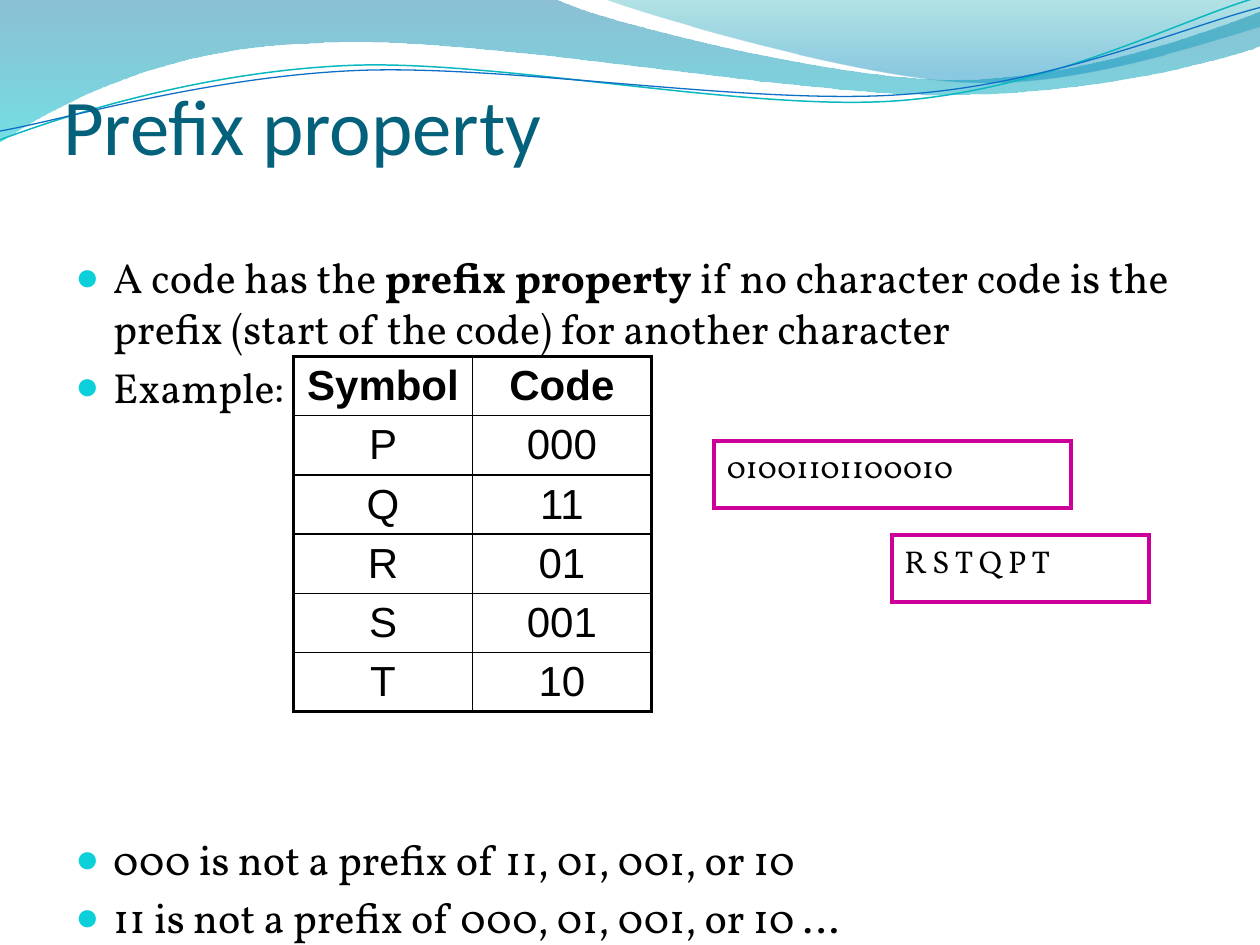
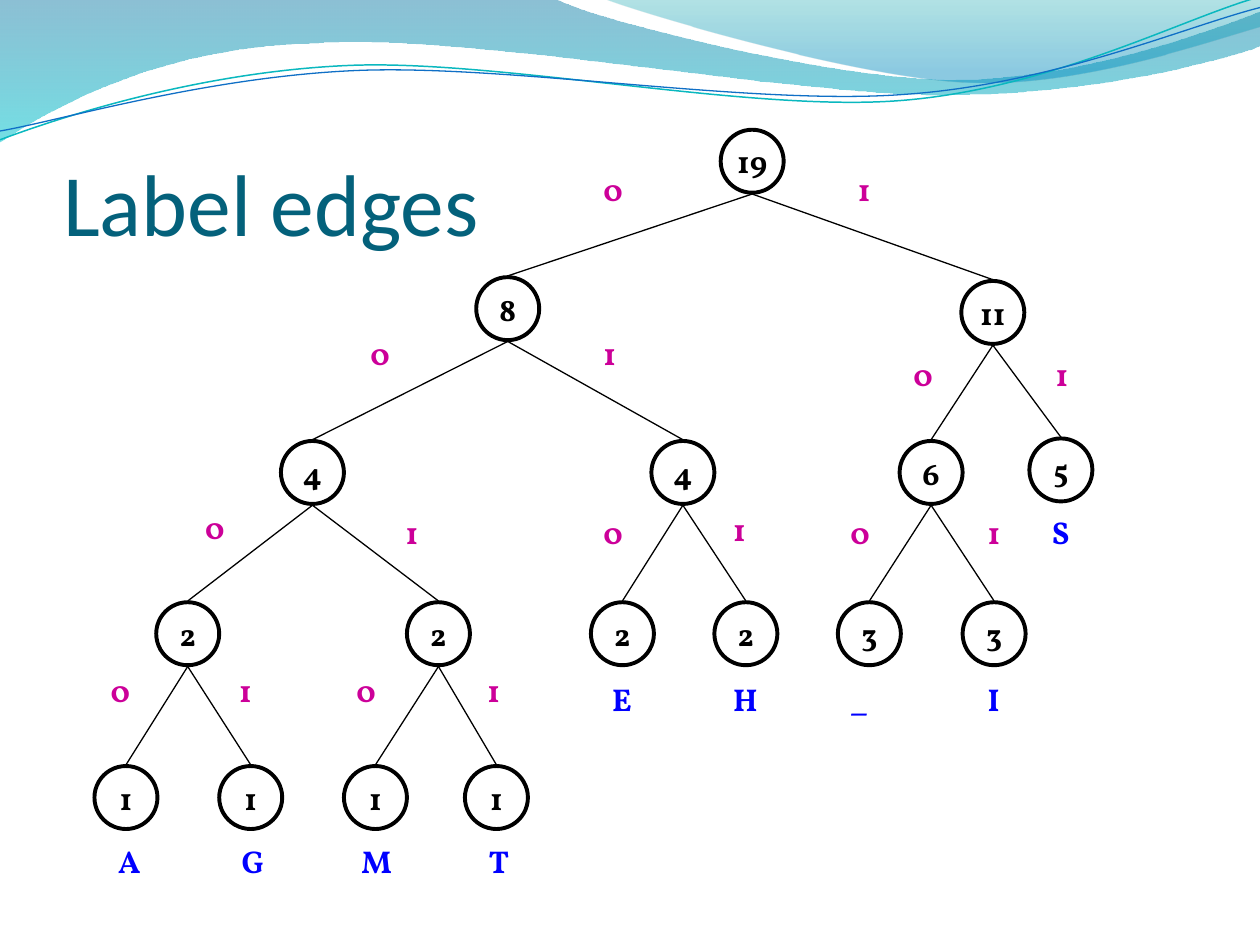
from lxml import etree
from pptx import Presentation
from pptx.dml.color import RGBColor
from pptx.enum.shapes import MSO_CONNECTOR, MSO_SHAPE
from pptx.enum.text import MSO_ANCHOR, MSO_AUTO_SIZE, PP_ALIGN
from pptx.oxml.ns import qn
from pptx.util import Pt

PX = 9144  # EMU per px, 100 px to the inch
TITLE_ONLY = 5
STRAIGHT = MSO_CONNECTOR.STRAIGHT
RECTANGLE = MSO_SHAPE.RECTANGLE
CIRCLE = MSO_SHAPE.FLOWCHART_CONNECTOR
TOP, MIDDLE, BOTTOM = MSO_ANCHOR.TOP, MSO_ANCHOR.MIDDLE, MSO_ANCHOR.BOTTOM
LEFT, CENTER = PP_ALIGN.LEFT, PP_ALIGN.CENTER
NO_AUTOFIT = MSO_AUTO_SIZE.NONE

BLACK = RGBColor(0x00, 0x00, 0x00)
TITLE_TEAL = RGBColor(0x04, 0x61, 0x7B)
BULLET_CYAN = RGBColor(0x0B, 0xD0, 0xD9)
MAGENTA = RGBColor(0xCC, 0x00, 0x99)
SYMBOL_BLUE = RGBColor(0x00, 0x00, 0xFF)
WAVE_TEAL = RGBColor(0x0A, 0xB8, 0xBF)
WAVE_BLUE = RGBColor(0x0F, 0x6F, 0xC6)
BAND_BLUE = RGBColor(0x00, 0x74, 0xA1)
BAND_CYAN = RGBColor(0x00, 0xC6, 0xCF)
CREST_TEAL = RGBColor(0x00, 0xA1, 0xA9)
CREST_BLUE = RGBColor(0x00, 0x8B, 0xBF)

TITLE_FONT, BODY_FONT, TABLE_FONT = "Calibri", "Vollkorn", "Arial"

# Outlines: a start point, then lines (x, y) and Bezier curves (6 numbers).
BAND = [(0, 0), (440, -1), (476, 17, 664, 63, 758, 63),
        (853, 63, 958, 26, 1000, 9), (1001, 36),
        (983, 44, 870, 76, 746, 75), (622, 75, 382, 28, 257, 34),
        (129, 36, 46, 83, -1, 113)]
CREST = [(479, -1), (509, 11, 682, 62, 769, 65),
         (856, 69, 961, 32, 1000, 21), (1000, 0)]
TEAL_WAVE = [(0, 111), (48, 93, 158, 57, 277, 52),
             (395, 47, 593, 89, 713, 80), (833, 71, 938, 15, 998, -2)]
BLUE_WAVE = [(0, 104), (47, 96, 164, 61, 283, 56),
             (403, 51, 597, 84, 717, 75), (836, 67, 941, 21, 1000, 6)]

# Space before in points, then the run texts; every second run is bold
BULLETS = [
    (0, ["A code has the ", "prefix property",
         " if no character code is the prefix (start of the code) for another character"]),
    (4.8, ["Example:"]),
    (241, ["000 is not a prefix of 11, 01, 001, or 10"]),
    (4.8, ["11 is not a prefix of 000, 01, 001, or 10 …"]),
]
CODE_TABLE = [("Symbol", "Code"), ("P", "000"), ("Q", "11"), ("R", "01"),
              ("S", "001"), ("T", "10")]

NODE_SIZE = 50
# Code of the node: left, top, weight
NODES = {
    "": (572, 103, 19),
    "0": (378, 220, 8), "1": (763, 223, 11),
    "00": (223, 350, 4), "01": (517, 350, 4),
    "10": (714, 350, 6), "11": (817, 348, 5),
    "000": (124, 478, 2), "001": (323, 478, 2), "010": (469, 478, 2),
    "011": (567, 478, 2), "100": (665, 478, 3), "101": (764, 478, 3),
    "0000": (75, 608, 1), "0001": (174, 608, 1),
    "0010": (273, 608, 1), "0011": (369, 608, 1),
}
# Code of the child node: left, top of the label on the edge above it
EDGE_LABELS = {
    "0": (469, 130), "1": (671, 130),
    "00": (284, 260), "01": (469, 260), "10": (715, 277), "11": (828, 277),
    "000": (153, 398), "001": (312, 402), "010": (469, 402),
    "011": (572, 400), "100": (665, 402), "101": (774, 402),
    "0000": (78, 528), "0001": (180, 528),
    "0010": (273, 528), "0011": (377, 528),
}
# Code of the leaf: symbol, left, top
LEAF_SYMBOLS = {
    "0000": ("A", 84, 663), "0001": ("G", 182, 663),
    "0010": ("M", 277, 663), "0011": ("T", 378, 663),
    "010": ("E", 476, 535), "011": ("H", 572, 535),
    "100": ("_", 665, 535), "101": ("I", 774, 535), "11": ("S", 825, 402),
}


def emu(*lengths):
    return [round(length * PX) for length in lengths]


def sub(parent, tag, **attributes):
    return etree.SubElement(parent, qn(tag), attributes)


def style_runs(paragraph, font, size, color, bold=False):
    for run in paragraph.runs:
        run.font.name, run.font.size, run.font.bold = font, Pt(size), bold
        run.font.color.rgb = color


def set_margins(frame, left, top, right, bottom):
    (frame.margin_left, frame.margin_top,
     frame.margin_right, frame.margin_bottom) = emu(left, top, right, bottom)


def add_outline(slide, outline, close):
    """Draw lines through all points, then bend each curve's three lines into one."""
    start, *segments = outline
    points = [emu(*segment[i:i + 2]) for segment in segments
              for i in range(0, len(segment), 2)]
    builder = slide.shapes.build_freeform(*emu(*start))
    builder.add_line_segments(points, close=close)
    shape = builder.convert_to_shape()
    shape.shadow.inherit = False
    lines = iter(list(shape.element.iter(qn("a:lnTo"))))
    for segment in segments:
        first = next(lines)
        if len(segment) == 6:
            curve = etree.Element(qn("a:cubicBezTo"))
            first.addprevious(curve)
            for line in (first, next(lines), next(lines)):
                curve.append(line[0])
                line.getparent().remove(line)
    return shape


def add_gradient_area(slide, outline, stops):
    """Fill an outline from top to bottom; stops are (position, colour, alpha %)."""
    area = add_outline(slide, outline, True)
    area.line.fill.background()
    area.fill.gradient()
    area.fill.gradient_angle = 270
    for stop, (position, color, _) in zip(area.fill.gradient_stops, stops):
        stop.position, stop.color.rgb = position, color
    colors = area.element.iter(qn("a:srgbClr"))
    for color, (_, _, alpha) in zip(list(colors), stops):
        sub(color, "a:alpha", val=str(alpha * 1000))
    return area


def add_wave(slide, outline, color, width):
    wave = add_outline(slide, outline, False)
    wave.fill.background()
    wave.line.color.rgb, wave.line.width = color, Pt(width)
    return wave


def add_master_waves(prs, slide):
    """Build the waves on a slide, then move them behind all on the master."""
    waves = [
        add_gradient_area(slide, BAND, [(0, BAND_BLUE, 45), (1, BAND_CYAN, 55)]),
        add_gradient_area(slide, CREST, [(0, CREST_TEAL, 30), (0.8, CREST_BLUE, 45)]),
        add_wave(slide, TEAL_WAVE, WAVE_TEAL, 0.85),
        add_wave(slide, BLUE_WAVE, WAVE_BLUE, 0.75),
    ]
    tree = prs.slide_master.shapes.element
    for index, wave in enumerate(waves):
        wave.element.nvSpPr.cNvPr.set("id", str(100 + index))
        tree.insert(2 + index, wave.element)


def set_title(slide, text, height, size):
    title = slide.shapes.title
    title.left, title.top, title.width, title.height = emu(50, 77, 900, height)
    frame = title.text_frame
    frame.text = text
    frame.auto_size, frame.vertical_anchor = NO_AUTOFIT, BOTTOM
    set_margins(frame, 0, 5, 0, 0)
    frame.paragraphs[0].alignment = LEFT
    style_runs(frame.paragraphs[0], TITLE_FONT, size, TITLE_TEAL)


def add_bullets(slide, left, top, width, height, items):
    frame = slide.shapes.add_textbox(*emu(left, top, width, height)).text_frame
    frame.word_wrap = True
    for index, (space_before, texts) in enumerate(items):
        paragraph = frame.add_paragraph() if index else frame.paragraphs[0]
        properties = paragraph._p.get_or_add_pPr()
        properties.set("marL", str(30 * PX))
        properties.set("indent", str(-30 * PX))
        sub(sub(properties, "a:buClr"), "a:srgbClr", val=str(BULLET_CYAN))
        sub(properties, "a:buSzPct", val="95000")
        sub(properties, "a:buFont", typeface=TABLE_FONT)
        sub(properties, "a:buChar", char="●")
        paragraph.space_before = Pt(space_before)
        for text in texts:
            paragraph.add_run().text = text
        style_runs(paragraph, BODY_FONT, 24, BLACK)
        for run in paragraph.runs[1::2]:
            run.font.bold = True


def set_cell_borders(cell, widths):
    properties = cell._tc.get_or_add_tcPr()
    for index, (side, width) in enumerate(zip("LRTB", widths)):
        line = etree.Element(qn(f"a:ln{side}"), w=str(Pt(width)),
                             cap="flat", cmpd="sng", algn="ctr")
        sub(sub(line, "a:solidFill"), "a:srgbClr", val=str(BLACK))
        sub(line, "a:prstDash", val="solid")
        properties.insert(index, line)


def add_code_table(slide, left, top, column_width, row_height, rows):
    last_row, last_column = len(rows) - 1, len(rows[0]) - 1
    size = emu(column_width * len(rows[0]), row_height * len(rows))
    table = slide.shapes.add_table(len(rows), len(rows[0]), *emu(left, top), *size).table
    table.first_row = table.horz_banding = False
    for r, row in enumerate(rows):
        for c, text in enumerate(row):
            cell = table.cell(r, c)
            cell.text = text
            cell.fill.background()
            cell.vertical_anchor = MIDDLE
            set_margins(cell, 10, 3, 10, 3)
            edges = (c == 0, c == last_column, r == 0, r == last_row)
            set_cell_borders(cell, [2.25 if edge else 1 for edge in edges])
            paragraph = cell.text_frame.paragraphs[0]
            paragraph.alignment = CENTER
            style_runs(paragraph, TABLE_FONT, 24, BLACK, bold=r == 0)


def add_outlined(slide, kind, box, text, color):
    """Add an unfilled shape with an 18 pt text; return shape and paragraph."""
    shape = slide.shapes.add_shape(kind, *emu(*box))
    shape.shadow.inherit = False
    shape.fill.background()
    shape.line.color.rgb, shape.line.width = color, Pt(2.25)
    sub(shape.element.spPr.find(qn("a:ln")), "a:miter", lim="800000")
    shape.text_frame.text = text
    paragraph = shape.text_frame.paragraphs[0]
    style_runs(paragraph, BODY_FONT, 18, BLACK, bold=kind == CIRCLE)
    return shape, paragraph


def add_message_box(slide, left, top, width, text):
    box, paragraph = add_outlined(slide, RECTANGLE, (left, top, width, 53), text, MAGENTA)
    box.text_frame.word_wrap = True
    box.text_frame.vertical_anchor = TOP
    paragraph.alignment = LEFT


def add_node(slide, left, top, weight):
    node, paragraph = add_outlined(
        slide, CIRCLE, (left, top, NODE_SIZE, NODE_SIZE), str(weight), BLACK)
    node.text_frame.word_wrap = False
    node.text_frame.vertical_anchor = MIDDLE
    set_margins(node.text_frame, 0, 0, 0, 0)
    paragraph.alignment = CENTER


def add_edge(slide, parent, child):
    half = NODE_SIZE // 2
    start = child[0] + half, child[1] - 1
    end = parent[0] + half, parent[1] + NODE_SIZE + 1
    edge = slide.shapes.add_connector(STRAIGHT, *emu(*start, *end))
    edge.line.color.rgb, edge.line.width = BLACK, Pt(0.75)
    sub(edge.element.spPr, "a:effectLst")


def add_label(slide, left, top, width, text, color):
    label = slide.shapes.add_textbox(*emu(left, top, width, 50))
    label.text_frame.word_wrap = True
    label.text_frame.text = text
    style_runs(label.text_frame.paragraphs[0], BODY_FONT, 18, color, bold=True)


def build_prefix_slide(slide):
    set_title(slide, "Prefix property", 59, 45)
    add_bullets(slide, 50, 195, 900, 480, BULLETS)
    add_code_table(slide, 233, 283, 142, 47, CODE_TABLE)
    add_message_box(slide, 567, 350, 283, "01001101100010")
    add_message_box(slide, 708, 425, 204, "R S T Q P T")


def build_tree_slide(slide):
    set_title(slide, "Label edges", 125, 50)
    for code, (left, top) in EDGE_LABELS.items():
        add_edge(slide, NODES[code[:-1]], NODES[code])
        add_label(slide, left, top, 39, code[-1], MAGENTA)
    for node in NODES.values():
        add_node(slide, *node)
    for symbol, left, top in LEAF_SYMBOLS.values():
        add_label(slide, left, top, 46, symbol, SYMBOL_BLUE)


def main():
    prs = Presentation()
    prs.slide_width, prs.slide_height = emu(1000, 750)
    layout = prs.slide_layouts[TITLE_ONLY]
    prefix_slide, tree_slide = (prs.slides.add_slide(layout) for _ in range(2))
    add_master_waves(prs, prefix_slide)
    build_prefix_slide(prefix_slide)
    build_tree_slide(tree_slide)
    prs.save("out.pptx")


if __name__ == "__main__":
    main()
